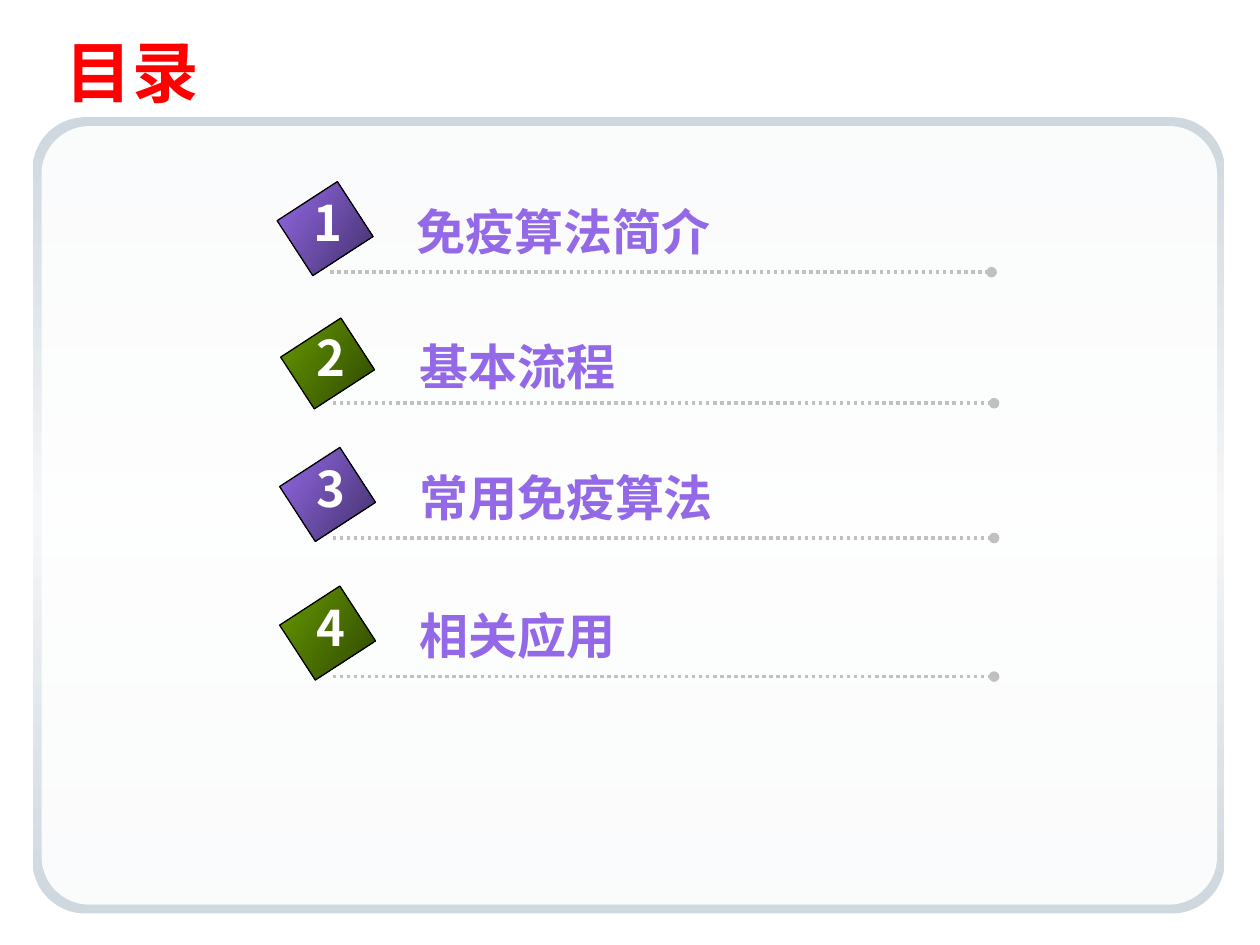
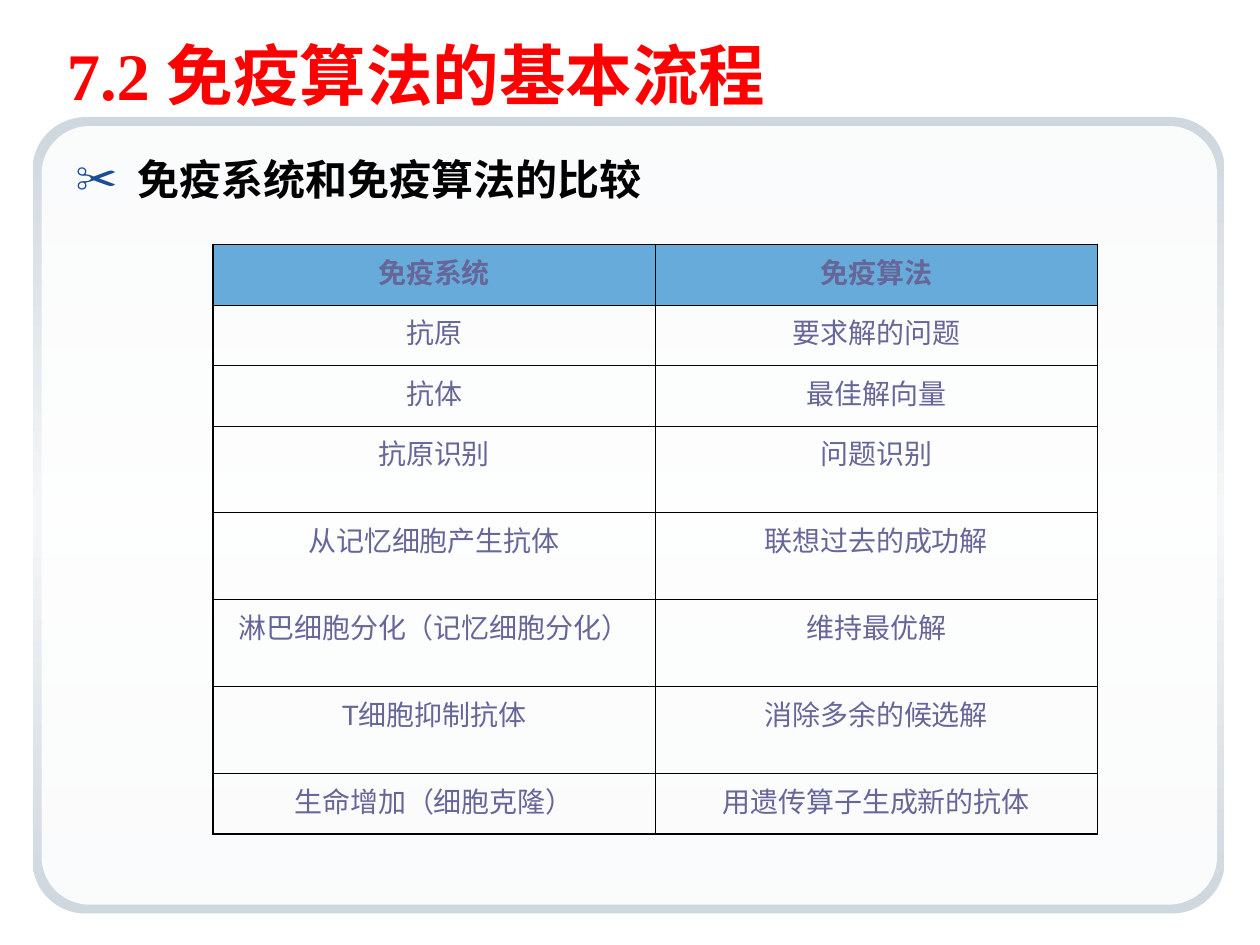
from collections import namedtuple
from dataclasses import dataclass

from lxml import etree
from pptx import Presentation
from pptx.dml.color import RGBColor
from pptx.enum.dml import MSO_LINE
from pptx.enum.shapes import MSO_CONNECTOR, MSO_SHAPE
from pptx.enum.text import MSO_ANCHOR, MSO_AUTO_SIZE, PP_ALIGN
from pptx.oxml.ns import qn
from pptx.util import Inches, Pt

ROUNDED, RECTANGLE = MSO_SHAPE.ROUNDED_RECTANGLE, MSO_SHAPE.RECTANGLE
STRAIGHT, DOTTED = MSO_CONNECTOR.STRAIGHT, MSO_LINE.ROUND_DOT
LEFT, CENTER = PP_ALIGN.LEFT, PP_ALIGN.CENTER
TOP, MIDDLE = MSO_ANCHOR.TOP, MSO_ANCHOR.MIDDLE
NO_FIT = MSO_AUTO_SIZE.NONE


@dataclass(frozen=True)
class Theme:
    title: str = "FF0000"
    body: str = "000000"
    accent: str = "9369E7"
    accent_dark: str = "44316B"
    green: str = "669900"
    green_dark: str = "2F4700"
    frame: str = "CFD7DF"
    frame_light: str = "F5F7F8"
    white: str = "FFFFFF"
    rule: str = "C0C0C0"
    outline: str = "000000"
    bullet: str = "1C4D94"
    table_text: str = "666699"
    table_header: str = "66ABDA"
    title_size: int = 38
    entry_size: int = 28
    body_size: int = 24
    table_size: int = 16
    serif: str = "Times New Roman"
    sans: str = "Arial"
    cjk: str = "Noto Sans CJK SC"


THEME = Theme()

Entry = namedtuple("Entry", "text left top rule_top diamond_width")
CONTENTS = [
    Entry("免疫算法简介", 2.62, 1.53, 2.16, 0.52),
    Entry("基本流程", 2.64, 2.60, 3.20, 0.49),
    Entry("常用免疫算法", 2.64, 3.64, 4.27, 0.52),
    Entry("相关应用", 2.64, 4.74, 5.37, 0.52),
]

COMPARISON = [
    ("免疫系统", "免疫算法"),
    ("抗原", "要求解的问题"),
    ("抗体", "最佳解向量"),
    ("抗原识别", "问题识别"),
    ("从记忆细胞产生抗体", "联想过去的成功解"),
    ("淋巴细胞分化（记忆细胞分化）", "维持最优解"),
    ("T细胞抑制抗体", "消除多余的候选解"),
    ("生命增加（细胞克隆）", "用遗传算子生成新的抗体"),
]
SHORT_ROW, TALL_ROW = 0.48, 0.69
TALL_ROWS = range(3, 7)


# Formatting helpers
def color(value):
    return RGBColor.from_string(value)


def child(parent, tag, **attributes):
    node = etree.SubElement(parent, qn(tag))
    for name, value in attributes.items():
        node.set(name, str(value))
    return node


def write(frame, text, *, size, fill, font=THEME.cjk, bold=True, align=LEFT):
    para = frame.paragraphs[0]
    para.alignment = align
    para.space_before = Pt(0)
    span = para.add_run()
    span.text = text
    span.font.size = Pt(size)
    span.font.bold = bold
    span.font.name = font
    span.font.color.rgb = color(fill)
    child(span.font._element, "a:ea", typeface=THEME.cjk)
    return para


def set_gradient(shape, stops, angle):
    """Fill with a linear gradient whose angle is fixed to the page."""
    shape.fill.background()
    properties = shape.element.spPr
    no_fill = properties.find(qn("a:noFill"))
    gradient = etree.Element(qn("a:gradFill"), rotWithShape="0")
    stop_list = child(gradient, "a:gsLst")
    for position, value in stops:
        stop = child(stop_list, "a:gs", pos=position * 1000)
        child(stop, "a:srgbClr", val=value)
    child(gradient, "a:lin", ang=angle * 60000, scaled=0)
    properties.replace(no_fill, gradient)


def place(shape, left, top, width, height):
    shape.left, shape.top = Inches(left), Inches(top)
    shape.width, shape.height = Inches(width), Inches(height)


# Elements
def add_plain_shape(page, kind, left, top, width, height):
    shape = page.shapes.add_shape(
        kind, Inches(left), Inches(top), Inches(width), Inches(height))
    shape.shadow.inherit = False
    shape.line.fill.background()
    return shape


def add_label(page, text, left, top, width, *, wrap=True, **text_format):
    box = page.shapes.add_textbox(
        Inches(left), Inches(top), Inches(width), Inches(0.57))
    box.text_frame.word_wrap = wrap
    write(box.text_frame, text, size=THEME.entry_size, **text_format)


def add_rule(page, left, top, length):
    rule = page.shapes.add_connector(
        STRAIGHT, Inches(left), Inches(top), Inches(left + length), Inches(top))
    rule.line.color.rgb = color(THEME.rule)
    rule.line.width = Pt(2)
    rule.line.dash_style = DOTTED
    child(rule.line._get_or_add_ln(), "a:tailEnd", type="oval")
    child(rule.element.spPr, "a:effectLst")


def add_diamond(page, center, top, width, light, dark):
    diamond = add_plain_shape(
        page, RECTANGLE, center - width / 2, top, width, 0.57)
    diamond.rotation = 57
    set_gradient(diamond, [(0, light), (100, dark)], 33)
    diamond.line.color.rgb = color(THEME.outline)
    diamond.line.width = Pt(0.75)


def add_entry(page, number, entry):
    odd = number % 2 == 1
    shades = ((THEME.accent, THEME.accent_dark) if odd
              else (THEME.green, THEME.green_dark))
    add_rule(page, entry.left, entry.rule_top, 5.25)
    add_diamond(page, entry.left - 0.04, entry.top, entry.diamond_width, *shades)
    add_label(page, entry.text, entry.left + 0.59, entry.top + 0.02, 3.78,
              fill=THEME.accent)
    add_label(page, str(number), entry.left - 0.23, entry.top - 0.05, 0.43,
              wrap=False, fill=THEME.white, align=CENTER)


def set_title(page, text, left, top):
    title = page.shapes.title
    place(title, left, top, 9.33, 0.62)
    title.text_frame.auto_size = NO_FIT
    title.text_frame.vertical_anchor = MIDDLE
    write(title.text_frame, text, size=THEME.title_size, fill=THEME.title,
          font=THEME.serif)


def set_bullet_heading(page, text):
    body = page.placeholders[1]
    place(body, 0.5, 1.17, 8.75, 2.9)
    body.text_frame.auto_size = NO_FIT
    body.text_frame.vertical_anchor = TOP
    para = write(body.text_frame, text, size=THEME.body_size, fill=THEME.body,
                 font=THEME.sans)
    properties = para._p.get_or_add_pPr()
    properties.set("marL", str(Inches(0.49)))
    properties.set("indent", str(Inches(-0.49)))
    child(child(properties, "a:buClr"), "a:srgbClr", val=THEME.bullet)
    child(properties, "a:buChar", char="✂")


def set_borders(cell, widths):
    properties = cell._tc.get_or_add_tcPr()
    for index, (side, width) in enumerate(widths.items()):
        border = etree.Element(qn("a:ln" + side), w=str(Pt(width)))
        child(child(border, "a:solidFill"), "a:srgbClr", val=THEME.outline)
        properties.insert(index, border)


def add_comparison_table(page, rows):
    heights = [TALL_ROW if index in TALL_ROWS else SHORT_ROW
               for index in range(len(rows))]
    table = page.shapes.add_table(
        len(rows), 2, Inches(1.69), Inches(1.94),
        Inches(7.02), Inches(sum(heights))).table
    table.horz_banding = False
    thin, thick = 0.45, 1.08
    last = len(rows) - 1
    for row_index, texts in enumerate(rows):
        table.rows[row_index].height = Inches(heights[row_index])
        header = row_index == 0
        for column, text in enumerate(texts):
            cell = table.cell(row_index, column)
            if header:
                cell.fill.solid()
                cell.fill.fore_color.rgb = color(THEME.table_header)
            else:
                cell.fill.background()
            set_borders(cell, {
                "L": thick if column == 0 else thin,
                "R": thick if column == 1 else thin,
                "T": thick if header else thin,
                "B": thick if row_index == last else thin,
            })
            write(cell.text_frame, text, size=THEME.table_size,
                  fill=THEME.table_text, bold=header, align=CENTER,
                  font=THEME.cjk if header else THEME.sans)


# Shared background panel, kept on the slide master
def add_master_panel(deck, page):
    frame = add_plain_shape(page, ROUNDED, 0.26, 0.93, 9.46, 6.32)
    frame.adjustments[0] = 0.066
    set_gradient(frame, [(0, THEME.frame), (50, THEME.frame_light),
                         (100, THEME.frame)], 90)
    panel = add_plain_shape(page, ROUNDED, 0.33, 1, 9.33, 6.18)
    panel.adjustments[0] = 0.062
    panel.fill.solid()
    panel.fill.fore_color.rgb = color(THEME.white)
    white = panel.element.spPr.find(qn("a:solidFill")).find(qn("a:srgbClr"))
    child(white, "a:alpha", val=90000)
    for index, shape in enumerate((frame, panel)):
        shape.element.nvSpPr.cNvPr.set("id", str(101 + index))
        deck.slide_master.shapes.element.insert(2 + index, shape.element)


def main():
    deck = Presentation()
    deck.slide_width, deck.slide_height = Inches(10), Inches(7.5)

    # Contents
    contents = deck.slides.add_slide(deck.slide_layouts.get_by_name("Title Only"))
    add_master_panel(deck, contents)
    set_title(contents, "目录", 0.42, 0.25)
    for number, entry in enumerate(CONTENTS, start=1):
        add_entry(contents, number, entry)

    # Comparison of immune system and immune algorithm
    comparison = deck.slides.add_slide(
        deck.slide_layouts.get_by_name("Title and Content"))
    set_title(comparison, "7.2 免疫算法的基本流程", 0.43, 0.28)
    set_bullet_heading(comparison, "免疫系统和免疫算法的比较")
    add_comparison_table(comparison, COMPARISON)

    deck.save("out.pptx")


if __name__ == "__main__":
    main()
